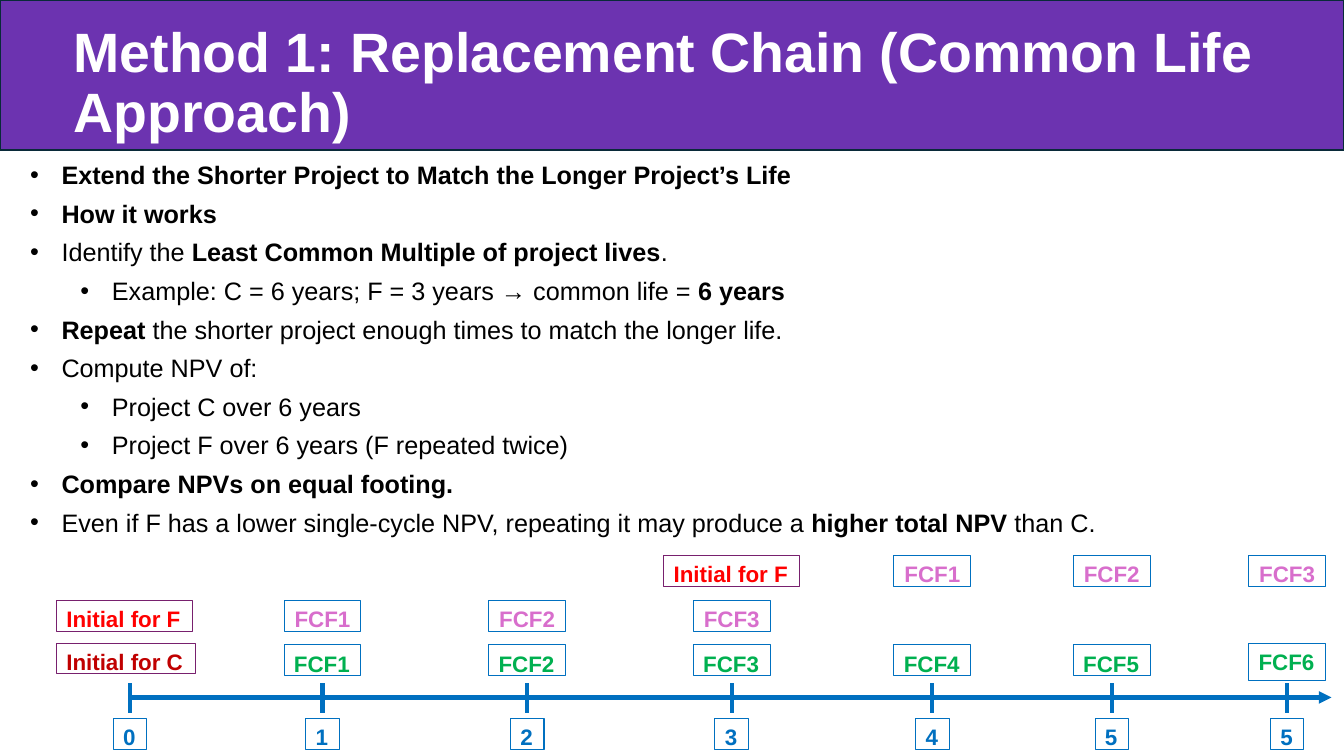
"""Build the replacement chain slide with its bullet list and cash flow timeline."""
from dataclasses import dataclass

from lxml.etree import SubElement
from pptx import Presentation
from pptx.dml.color import RGBColor
from pptx.enum.shapes import MSO_CONNECTOR, MSO_SHAPE
from pptx.enum.text import MSO_ANCHOR, MSO_AUTO_SIZE, PP_ALIGN
from pptx.oxml.ns import qn
from pptx.shapes.connector import Connector
from pptx.slide import Slide
from pptx.text.text import _Paragraph as Paragraph
from pptx.util import Pt


@dataclass(frozen=True)
class Theme:
    font: str = "Arial"
    title_size: float = 39.6
    body_size: float = 18
    label_size: float = 16
    band: str = "6C33B0"
    band_line: str = "092A39"
    white: str = "FFFFFF"
    black: str = "000000"
    blue: str = "0070C0"
    plum: str = "78206E"
    pink: str = "D86ECC"
    green: str = "00B050"
    red: str = "FF0000"
    dark_red: str = "C00000"


@dataclass(frozen=True)
class Span:
    text: str
    bold: bool = False


@dataclass(frozen=True)
class Bullet:
    spans: tuple[Span, ...]
    level: int = 0


@dataclass(frozen=True)
class Label:
    text: str
    center: float
    top: float
    color: str
    width: float = 55
    height: float = 21.9
    border: str = Theme.blue


THEME = Theme()
SLIDE_WIDTH, SLIDE_HEIGHT = 960, 540
YEAR_CENTERS = (92.9, 230.4, 376.6, 522.7, 666, 794.2, 919.4)
YEAR_NAMES = ("0", "1", "2", "3", "4", "5", "5")
SECOND_CYCLE_TOP, FIRST_CYCLE_TOP, PROJECT_C_TOP = 396.7, 429, 460.5
AXIS_Y, AXIS_END, TICK_TOP, TICK_BOTTOM, YEAR_TOP = 498.2, 951.1, 488.2, 509, 513.2
INITIAL_F_WIDTH, INITIAL_C_WIDTH = 97.2, 99.4
INITIAL_LEFT = 40.3

BULLETS = (
    Bullet((Span("Extend the Shorter Project to Match the Longer Project’s Life", True),)),
    Bullet((Span("How it works", True),)),
    Bullet((Span("Identify the "), Span("Least Common Multiple of project lives", True), Span("."))),
    Bullet((Span("Example: C = 6 years; F = 3 years → common life = "), Span("6 years", True)), 1),
    Bullet((Span("Repeat", True), Span(" the shorter project enough times to match the longer life."))),
    Bullet((Span("Compute NPV of:"),)),
    Bullet((Span("Project C over 6 years"),), 1),
    Bullet((Span("Project F over 6 years (F repeated twice)"),), 1),
    Bullet((Span("Compare NPVs on equal footing.", True),)),
    Bullet((
        Span("Even if F has a lower single-cycle NPV, repeating it may produce a "),
        Span("higher total NPV", True),
        Span(" than C."),
    )),
)


def timeline_labels() -> list[Label]:
    labels = [
        Label("Initial for F", INITIAL_LEFT + INITIAL_F_WIDTH / 2, FIRST_CYCLE_TOP,
              THEME.red, INITIAL_F_WIDTH, border=THEME.plum),
        Label("Initial for C", INITIAL_LEFT + INITIAL_C_WIDTH / 2, PROJECT_C_TOP - 1,
              THEME.dark_red, INITIAL_C_WIDTH, border=THEME.plum),
        Label("Initial for F", YEAR_CENTERS[3], SECOND_CYCLE_TOP,
              THEME.red, INITIAL_F_WIDTH, border=THEME.plum),
    ]
    for year, center in enumerate(YEAR_CENTERS):
        labels.append(Label(YEAR_NAMES[year], center, YEAR_TOP, THEME.blue, 24, 22.2))
        if year == 0:
            continue
        cycle, step = divmod(year - 1, 3)
        cycle_top = (FIRST_CYCLE_TOP, SECOND_CYCLE_TOP)[cycle]
        labels.append(Label(f"FCF{step + 1}", center, cycle_top, THEME.pink))
        height = 26.6 if year == 6 else 21.9
        top = PROJECT_C_TOP - 1 if year == 6 else PROJECT_C_TOP
        labels.append(Label(f"FCF{year}", center, top, THEME.green, height=height))
    return labels


def format_runs(para: Paragraph, size: float, color: str, bold: bool = True) -> None:
    for run in para.runs:
        run.font.name = THEME.font
        run.font.size = Pt(size)
        run.font.bold = bold
        run.font.color.rgb = RGBColor.from_string(color)


def add_title(page: Slide, text: str) -> None:
    band = page.shapes.add_shape(MSO_SHAPE.RECTANGLE, 0, 0, Pt(SLIDE_WIDTH), Pt(107.3))
    band.shadow.inherit = False
    band.fill.solid()
    band.fill.fore_color.rgb = RGBColor.from_string(THEME.band)
    band.line.color.rgb = RGBColor.from_string(THEME.band_line)
    band.line.width = Pt(1.5)
    title = page.shapes.title
    title.element.addprevious(band.element)
    title.left, title.top, title.width, title.height = Pt(45.4), Pt(21.6), Pt(857.5), Pt(77)
    frame = title.text_frame
    frame.text = text
    frame.word_wrap = True
    frame.auto_size = MSO_AUTO_SIZE.NONE
    frame.vertical_anchor = MSO_ANCHOR.MIDDLE
    para = frame.paragraphs[0]
    para.alignment = PP_ALIGN.LEFT
    para.line_spacing = 0.9
    format_runs(para, THEME.title_size, THEME.white)


def add_bullets(page: Slide, bullets: tuple[Bullet, ...]) -> None:
    box = page.shapes.add_textbox(Pt(14.4), Pt(110.2), Pt(936), Pt(280))
    frame = box.text_frame
    frame.word_wrap = True
    for index, bullet in enumerate(bullets):
        para = frame.paragraphs[0] if index == 0 else frame.add_paragraph()
        para.level = bullet.level
        para.space_before = Pt(3 if index else 0)
        para.space_after = Pt(3)
        properties = para._p.get_or_add_pPr()
        properties.set("marL", str(Pt(22.5 + 36 * bullet.level)))
        properties.set("indent", str(Pt(-22.5)))
        SubElement(properties, qn("a:buFont"), typeface=THEME.font)
        SubElement(properties, qn("a:buChar"), char="•")
        for span in bullet.spans:
            run = para.add_run()
            run.text = span.text
        format_runs(para, THEME.body_size, THEME.black, False)
        for run, span in zip(para.runs, bullet.spans):
            run.font.bold = span.bold


def add_line(page: Slide, x1: float, y1: float, x2: float, y2: float) -> Connector:
    line = page.shapes.add_connector(MSO_CONNECTOR.STRAIGHT, Pt(x1), Pt(y1), Pt(x2), Pt(y2))
    line.line.color.rgb = RGBColor.from_string(THEME.blue)
    line.line.width = Pt(3)
    SubElement(line.element.spPr, qn("a:effectLst"))
    return line


def add_label(page: Slide, label: Label) -> None:
    box = page.shapes.add_shape(
        MSO_SHAPE.RECTANGLE, Pt(label.center - label.width / 2), Pt(label.top),
        Pt(label.width), Pt(label.height))
    box.shadow.inherit = False
    box.fill.background()
    box.line.color.rgb = RGBColor.from_string(label.border)
    box.line.width = Pt(0.75)
    frame = box.text_frame
    frame.text = label.text
    frame.word_wrap = False
    frame.vertical_anchor = MSO_ANCHOR.TOP
    para = frame.paragraphs[0]
    para.alignment = PP_ALIGN.CENTER if label.color == THEME.pink else PP_ALIGN.LEFT
    format_runs(para, THEME.label_size, label.color)


def main() -> None:
    deck = Presentation()
    deck.slide_width, deck.slide_height = Pt(SLIDE_WIDTH), Pt(SLIDE_HEIGHT)
    page = deck.slides.add_slide(deck.slide_layouts[5])
    add_title(page, "Method 1: Replacement Chain (Common Life Approach)")
    add_bullets(page, BULLETS)
    axis = add_line(page, YEAR_CENTERS[0], AXIS_Y, AXIS_END, AXIS_Y)
    SubElement(axis.line._get_or_add_ln(), qn("a:tailEnd"), type="triangle")
    for center in YEAR_CENTERS:
        add_line(page, center, TICK_TOP, center, TICK_BOTTOM)
    for label in timeline_labels():
        add_label(page, label)
    deck.save("out.pptx")


if __name__ == "__main__":
    main()
